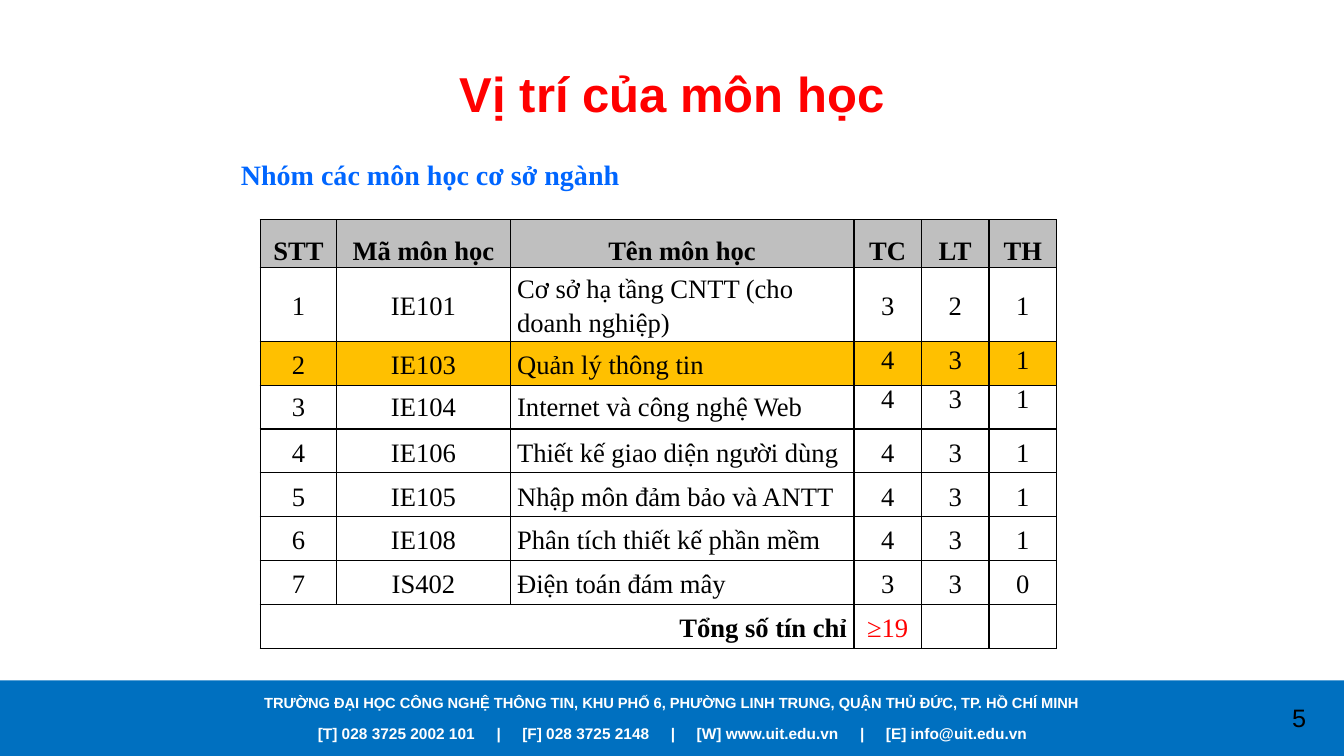
from lxml.etree import SubElement
from pptx import Presentation
from pptx.dml.color import RGBColor
from pptx.enum.shapes import MSO_SHAPE
from pptx.enum.text import MSO_ANCHOR, MSO_AUTO_SIZE, PP_ALIGN
from pptx.oxml.ns import qn
from pptx.util import Inches, Pt

TITLE = "Vị trí của môn học"
SUBTITLE = "Nhóm các môn học cơ sở ngành"
ADDRESS = "TRƯỜNG ĐẠI HỌC CÔNG NGHỆ THÔNG TIN, KHU PHỐ 6, PHƯỜNG LINH TRUNG, QUẬN THỦ ĐỨC, TP. HỒ CHÍ MINH"
CONTACTS = ["[T] 028 3725 2002 101", "[F] 028 3725 2148", "[W] www.uit.edu.vn", "[E] info@uit.edu.vn"]
PAGE = "5"
HEADER = ("STT", "Mã môn học", "Tên môn học", "TC", "LT", "TH")
COURSES = [
    ("IE101", "Cơ sở hạ tầng CNTT (cho doanh nghiệp)", 3, 2, 1),
    ("IE103", "Quản lý thông tin", 4, 3, 1),
    ("IE104", "Internet và công nghệ Web", 4, 3, 1),
    ("IE106", "Thiết kế giao diện người dùng", 4, 3, 1),
    ("IE105", "Nhập môn đảm bảo và ANTT", 4, 3, 1),
    ("IE108", "Phân tích thiết kế phần mềm", 4, 3, 1),
    ("IS402", "Điện toán đám mây", 3, 3, 0),
]
TOTAL = ("Tổng số tín chỉ", "", "", "≥19", "", "")
ROWS = [HEADER] + [(n, *course) for n, course in enumerate(COURSES, 1)] + [TOTAL]

WHITE = RGBColor(0xFF, 0xFF, 0xFF)
BLACK = RGBColor(0, 0, 0)
RED = RGBColor(0xFF, 0, 0)
BLUE = RGBColor(0, 0x66, 0xFF)
BAR = RGBColor(0, 0x70, 0xC0)
GRAY = RGBColor(0xBF, 0xBF, 0xBF)
GOLD = RGBColor(0xFF, 0xC0, 0)
SANS, SERIF = "Arial", "Times New Roman"

WIDTH, HEIGHT = Inches(13.33), Inches(7.5)
BAR_TOP = int(HEIGHT * 0.9)
TABLE_HEIGHT = 4.25
COL_WIDTHS = [0.76, 1.72, 3.41] + [0.67] * 3
TALL_ROWS = [0.47, 0.73]
PLAIN_ROWS = len(ROWS) - len(TALL_ROWS)
ROW_HEIGHTS = TALL_ROWS + [(TABLE_HEIGHT - sum(TALL_ROWS)) / PLAIN_ROWS] * PLAIN_ROWS
HIGHLIGHT, SINGLE_SPACED, LAST = 2, 3, len(ROWS) - 1
SEPARATOR_GAP = 1224


def style(r, size, color, font, bold=False):
    r.font.size, r.font.name, r.font.bold = Pt(size), font, bold
    r.font.color.rgb = color


def add_text(slide, box, parts, size, color, font=SANS, bold=True, align=PP_ALIGN.CENTER):
    tf = slide.shapes.add_textbox(*box).text_frame
    tf.word_wrap = True
    p = tf.paragraphs[0]
    p.alignment = align
    for part in parts:
        r = p.add_run()
        r.text = part
        style(r, size, color, font, bold)
    return p


def add_borders(cell):
    tcPr = cell._tc.get_or_add_tcPr()
    for i, side in enumerate(("lnL", "lnR", "lnT", "lnB")):
        ln = tcPr.makeelement(qn("a:" + side), {"w": str(Pt(1))})
        fill = SubElement(ln, qn("a:solidFill"))
        SubElement(fill, qn("a:srgbClr"), val=str(BLACK))
        tcPr.insert(i, ln)


def fill_cell(cell, row, col, value):
    cell.margin_left = cell.margin_right = Inches(0.07)
    cell.margin_top = cell.margin_bottom = 0
    top = row in (HIGHLIGHT, SINGLE_SPACED) and col > 2
    cell.vertical_anchor = MSO_ANCHOR.TOP if top else MSO_ANCHOR.MIDDLE
    if row in (0, HIGHLIGHT):
        cell.fill.solid()
        cell.fill.fore_color.rgb = GOLD if row else GRAY
    else:
        cell.fill.background()
    add_borders(cell)
    p = cell.text_frame.paragraphs[0]
    p.text = str(value)
    p.alignment = PP_ALIGN.LEFT if row and col == 2 else PP_ALIGN.CENTER
    if row == LAST and col == 0:
        p.alignment = PP_ALIGN.RIGHT
    if row != SINGLE_SPACED:
        p.line_spacing = 1.15 if row else 1.5
        p.space_before = Pt(3 if row else 6)
    for r in p.runs:
        total = row == LAST and col == 3
        style(r, 19, RED if total else BLACK, SERIF, row == 0 or (row == LAST and col == 0))


def add_course_table(slide):
    frame = slide.shapes.add_table(len(ROWS), len(HEADER), Inches(2.58), Inches(2.18),
                                   Inches(sum(COL_WIDTHS)), Inches(TABLE_HEIGHT))
    table = frame.table
    table.first_row = table.horz_banding = False
    for column, width in zip(table.columns, COL_WIDTHS):
        column.width = Inches(width)
    for row, height in zip(table.rows, ROW_HEIGHTS):
        row.height = Inches(height)
    for i, values in enumerate(ROWS):
        for j, value in enumerate(values):
            fill_cell(table.cell(i, j), i, j, value)
    table.cell(LAST, 0).merge(table.cell(LAST, 2))


def add_footer(slide):
    bar = slide.shapes.add_shape(MSO_SHAPE.RECTANGLE, 0, BAR_TOP, WIDTH, HEIGHT - BAR_TOP)
    bar.shadow.inherit = False
    bar.fill.solid()
    bar.fill.fore_color.rgb = BAR
    bar.line.fill.background()
    add_text(slide, (0, Inches(6.83), WIDTH, Inches(0.28)), [ADDRESS], 10.5, WHITE)
    parts = [CONTACTS[0]]
    for contact in CONTACTS[1:]:
        parts += [" |", " " + contact]
    p = add_text(slide, (Inches(1.56), Inches(7.13), Inches(10.22), Inches(0.29)), parts, 11, WHITE)
    for r in p.runs[1::2]:
        r.font._element.set("spc", str(SEPARATOR_GAP))
    add_text(slide, (Inches(12.44), Inches(6.92), Inches(0.89), Inches(0.4)), [PAGE], 18, BLACK, bold=False)


def main():
    prs = Presentation()
    prs.slide_width, prs.slide_height = WIDTH, HEIGHT
    slide = prs.slides.add_slide(prs.slide_layouts[5])
    add_footer(slide)
    title = slide.shapes.title
    title.left, title.top, title.width, title.height = (Inches(v) for v in (0.67, 0.3, 12, 1.25))
    tf = title.text_frame
    tf.text = TITLE
    tf.auto_size = MSO_AUTO_SIZE.NONE
    tf.vertical_anchor = MSO_ANCHOR.MIDDLE
    p = tf.paragraphs[0]
    p.alignment = PP_ALIGN.CENTER
    style(p.runs[0], 35, RED, SANS, True)
    p = add_text(slide, (Inches(2.29), Inches(1.51), Inches(8.75), Inches(0.5)), [SUBTITLE],
                 20, BLUE, SERIF, align=PP_ALIGN.LEFT)
    p.space_before = Pt(4)
    add_course_table(slide)
    prs.save("out.pptx")


if __name__ == "__main__":
    main()
